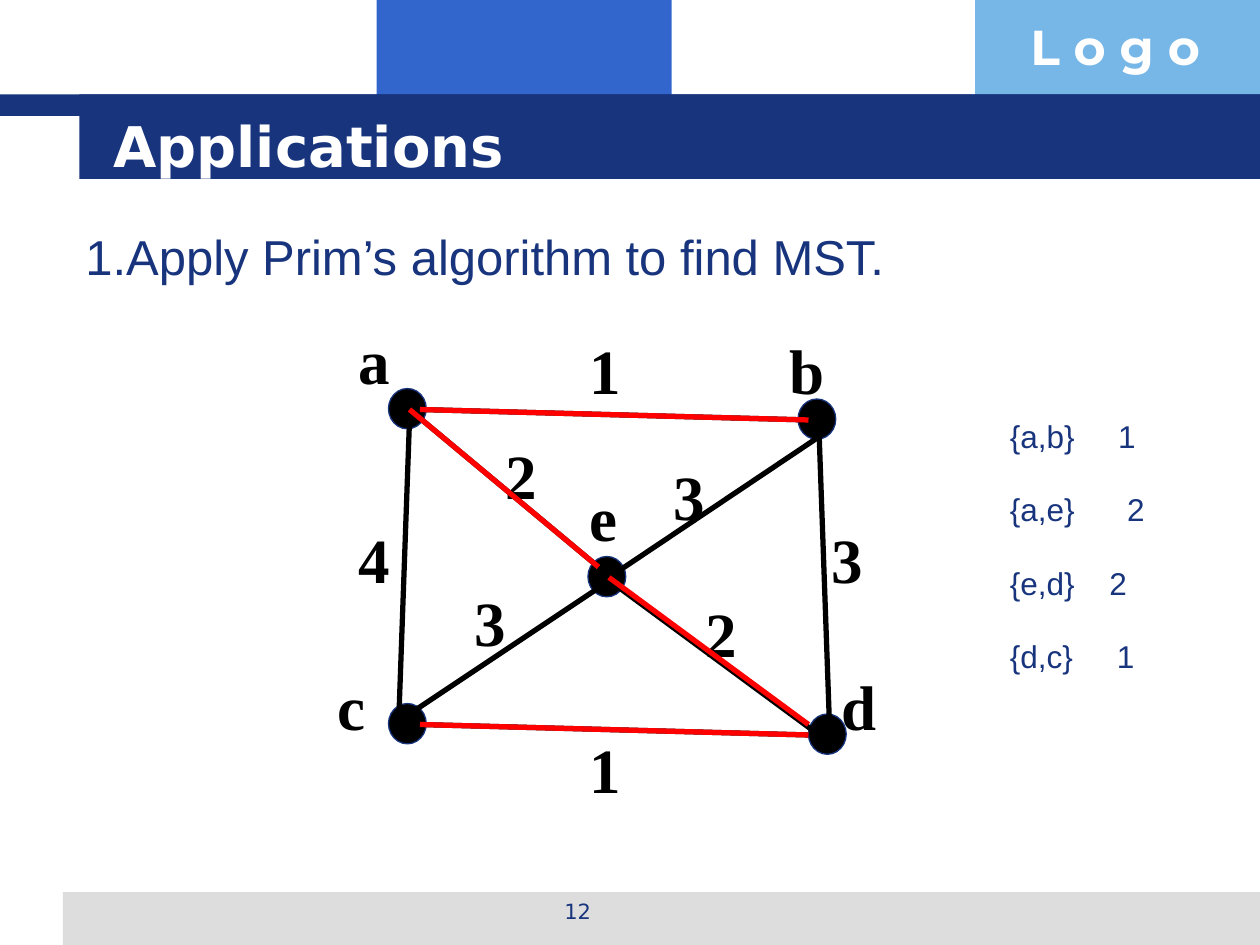
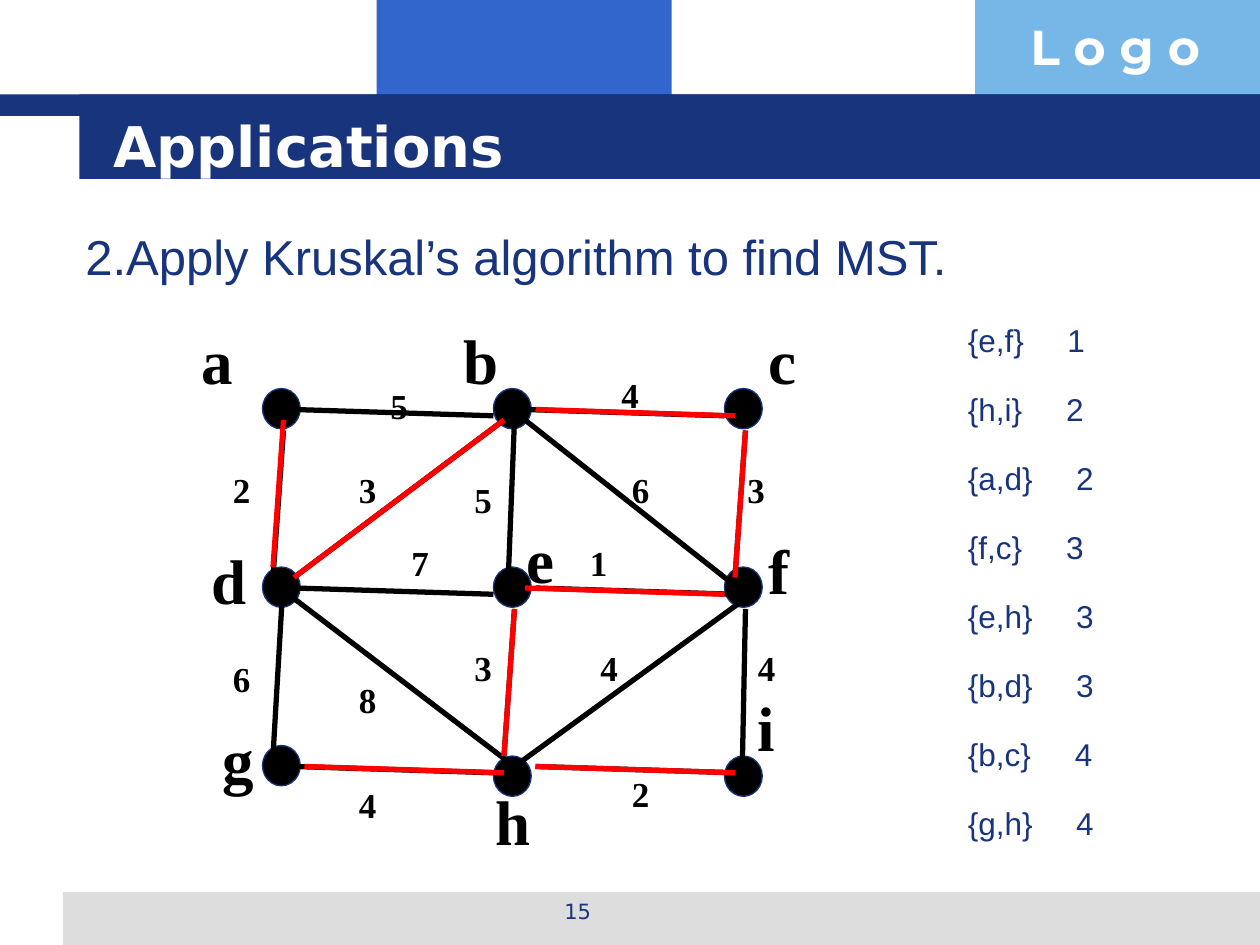
import pptx
import pptx.util
import pptx.dml.color
import pptx.enum.shapes
import pptx.enum.text
import lxml.etree

NAVY, BLUE, SKY, GREY = "17347D", "3366CC", "77B7E7", "DDDDDD"
BLACK, RED, WHITE = "000000", "FF0000", "FFFFFF"
SANS, BODY, SERIF = "DejaVu Sans", "Arial", "Times New Roman"
CELL = 1 / 12
DOT = (0.3, 0.32)
NAME_BOX = (0.54, 0.71)
SMALL_BOX = (0.42, 0.42)

BANDS = [
    (BLUE, 2.99, 0, 2.34, 0.92),
    (SKY, 7.74, 0, 2.26, 0.92),
    (GREY, 0.5, 7.08, 9.5, 0.42),
    (NAVY, 0, 0.75, 10, 0.17),
    (NAVY, 0.63, 0.75, 9.37, 0.67),
]

# vertices: name -> dot cell, name cell
# edges: ends -> weight, weight cell, line from and to
# tree: ends, tab stop of the weight, line where it differs from the edge
PRIM = {
    "number": "12",
    "task": "1.Apply Prim’s algorithm to find MST.",
    "weight_size": 36,
    "weight_box": NAME_BOX,
    "vertices": {
        "a": ((37, 37), (33, 30)),
        "b": ((76, 38), (74, 31)),
        "c": ((37, 67), (31, 63)),
        "d": ((77, 68), (79, 63)),
        "e": ((56, 53), (55, 45)),
    },
    "edges": {
        "a,b": (1, (55, 31), (40, 39, 77, 40)),
        "a,e": (2, (47, 41), (39, 39, 57, 54)),
        "b,e": (3, (63, 43), (58, 55, 78, 41.6)),
        "a,c": (4, (33, 49), (39, 40, 38, 68)),
        "d,c": (1, (55, 69), (40, 69, 77, 70)),
        "b,d": (3, (78, 49), (78, 41, 79, 69)),
        "c,e": (3, (44, 55), (39, 68, 57, 56)),
        "e,d": (2, (66, 56), (59, 56, 78, 70)),
    },
    "tree": [
        ("a,b", 0.86, None),
        ("a,e", 0.93, None),
        ("e,d", 0.79, (58, 55, 77, 69)),
        ("d,c", 0.85, None),
    ],
    "list_start": (95, 39.1),
    "list_step": 7,
}

KRUSKAL = {
    "number": "15",
    "task": "2.Apply Kruskal’s algorithm to find MST.",
    "weight_size": 20,
    "weight_box": SMALL_BOX,
    "vertices": {
        "a": ((25, 37), (18, 30)),
        "b": ((47, 37), (43, 30)),
        "c": ((69, 37), (72, 30)),
        "d": ((25, 54), (19, 51)),
        "e": ((47, 54), (49, 49)),
        "f": ((69, 54), (72, 50)),
        "g": ((25, 71), (20, 68)),
        "h": ((47, 72), (46, 73.9)),
        "i": ((69, 72), (71, 65)),
    },
    "edges": {
        "a,b": (5, (36, 36), (28, 39, 47, 39.6)),
        "b,c": (4, (58, 35), (50, 39, 69, 39.6)),
        "d,e": (7, (38, 51), (28, 56, 47, 56.6)),
        "e,f": (1, (55, 51), (51, 56, 70, 56.6)),
        "g,h": (4, (33, 74), (28, 73, 47, 73.6)),
        "h,i": (2, (59, 73), (51, 73, 70, 73.6)),
        "a,d": (2, (21, 44), (27, 41, 26, 55)),
        "d,g": (6, (21, 62), (26.9, 56.6, 26, 72)),
        "b,e": (5, (44, 45), (49, 40, 48.4, 55.3)),
        "e,h": (3, (44, 61), (49, 58, 48, 72)),
        "f,c": (3, (70, 44), (71, 41, 70, 55)),
        "f,i": (4, (71, 61), (71, 58, 70.7, 73)),
        "b,d": (3, (33, 44), (28, 55, 48, 40)),
        "b,f": (6, (59, 44), (50, 40, 69.4, 55.3)),
        "d,h": (8, (33, 64), (28, 57, 49, 73)),
        "f,h": (4, (56, 61), (49, 73, 71, 57)),
    },
    "tree": [
        ("e,f", 0.79, (50, 56, 69, 56.6)),
        ("h,i", 0.78, None),
        ("a,d", 0.86, (27, 40, 26, 54)),
        ("f,c", 0.78, None),
        ("e,h", 0.86, None),
        ("b,d", 0.86, None),
        ("b,c", 0.85, (51, 39, 70, 39.6)),
        ("g,h", 0.86, (29, 73, 48, 73.6)),
    ],
    "list_start": (91, 30),
    "list_step": 6.57,
}


def color(value):
    return pptx.dml.color.RGBColor.from_string(value)


def inches(*lengths):
    return [pptx.util.Inches(length) for length in lengths]


def on_grid(cells):
    return [cell * CELL for cell in cells]


def add_solid(slide, kind, fill, box, outline=None):
    shape = slide.shapes.add_shape(kind, *inches(*box))
    shape.shadow.inherit = False
    shape.fill.solid()
    shape.fill.fore_color.rgb = color(fill)
    if outline:
        shape.line.color.rgb = color(outline)
        shape.line.width = pptx.util.Pt(0.75)
    else:
        shape.line.fill.background()


def add_text(slide, text, box, size, font, ink, bold=False):
    shape = slide.shapes.add_textbox(*inches(*box))
    shape.text_frame.word_wrap = True
    shape.text_frame.text = text
    paragraph = shape.text_frame.paragraphs[0]
    for run in paragraph.runs:
        run.font.size = pptx.util.Pt(size)
        run.font.name = font
        run.font.bold = bold
        run.font.color.rgb = color(ink)
    return shape.text_frame


def add_label(slide, text, cell, box, size):
    frame = add_text(slide, text, (*on_grid(cell), *box), size, SERIF, BLACK, True)
    frame.paragraphs[0].space_before = pptx.util.Pt(round(size * 0.12, 1))


def add_line(slide, cells, ink):
    straight = pptx.enum.shapes.MSO_CONNECTOR.STRAIGHT
    connector = slide.shapes.add_connector(straight, *inches(*on_grid(cells)))
    connector.line.color.rgb = color(ink)
    connector.line.width = pptx.util.Pt(3)
    properties = connector._element.spPr
    lxml.etree.SubElement(properties, pptx.oxml.ns.qn("a:effectLst"))


def set_tab(paragraph, position):
    properties = paragraph._p.get_or_add_pPr()
    tabs = lxml.etree.SubElement(properties, pptx.oxml.ns.qn("a:tabLst"))
    tab = lxml.etree.SubElement(tabs, pptx.oxml.ns.qn("a:tab"))
    tab.set("pos", str(pptx.util.Inches(position)))
    tab.set("algn", "l")


def add_frame(slide, number):
    for fill, *box in BANDS:
        add_solid(slide, pptx.enum.shapes.MSO_SHAPE.RECTANGLE, fill, box)
    add_text(slide, "L o g o", (8.08, 0.08, 1.93, 0.57), 28, "Montserrat", WHITE, True)
    footer = add_text(slide, number, (3.42, 7.08, 2.33, 0.35), 12, SANS, NAVY)
    footer.paragraphs[0].alignment = pptx.enum.text.PP_ALIGN.CENTER
    title = add_text(slide, "Applications", (0.8, 0.8, 8.53, 0.62), 32, SANS, WHITE, True)
    title.vertical_anchor = pptx.enum.text.MSO_ANCHOR.BOTTOM
    title.margin_bottom = 0


def add_graph(slide, graph):
    edges = graph["edges"]
    for dot, _ in graph["vertices"].values():
        box = (*on_grid(dot), *DOT)
        add_solid(slide, pptx.enum.shapes.MSO_SHAPE.OVAL, BLACK, box, NAVY)
    for _, _, line in edges.values():
        add_line(slide, line, BLACK)
    for name, (_, cell) in graph["vertices"].items():
        add_label(slide, name, cell, NAME_BOX, 36)
    for weight, cell, _ in edges.values():
        add_label(slide, str(weight), cell, graph["weight_box"], graph["weight_size"])
    for ends, _, line in graph["tree"]:
        add_line(slide, line or edges[ends][2], RED)


def add_tree_list(slide, graph):
    column, first_row = graph["list_start"]
    for index, (ends, tab, _) in enumerate(graph["tree"]):
        cell = (column, first_row + index * graph["list_step"])
        text = f"{{{ends}}}\t{graph['edges'][ends][0]}"
        frame = add_text(slide, text, (*on_grid(cell), 1.33, 0.4), 18, BODY, NAVY)
        set_tab(frame.paragraphs[0], tab)


def main():
    presentation = pptx.Presentation()
    presentation.slide_width, presentation.slide_height = inches(10, 7.5)
    for graph in (PRIM, KRUSKAL):
        slide = presentation.slides.add_slide(presentation.slide_layouts[6])
        add_frame(slide, graph["number"])
        add_text(slide, graph["task"], (0.58, 1.75, 7.17, 0.57), 28, BODY, NAVY)
        add_graph(slide, graph)
        add_tree_list(slide, graph)
    presentation.save("out.pptx")


if __name__ == "__main__":
    main()
